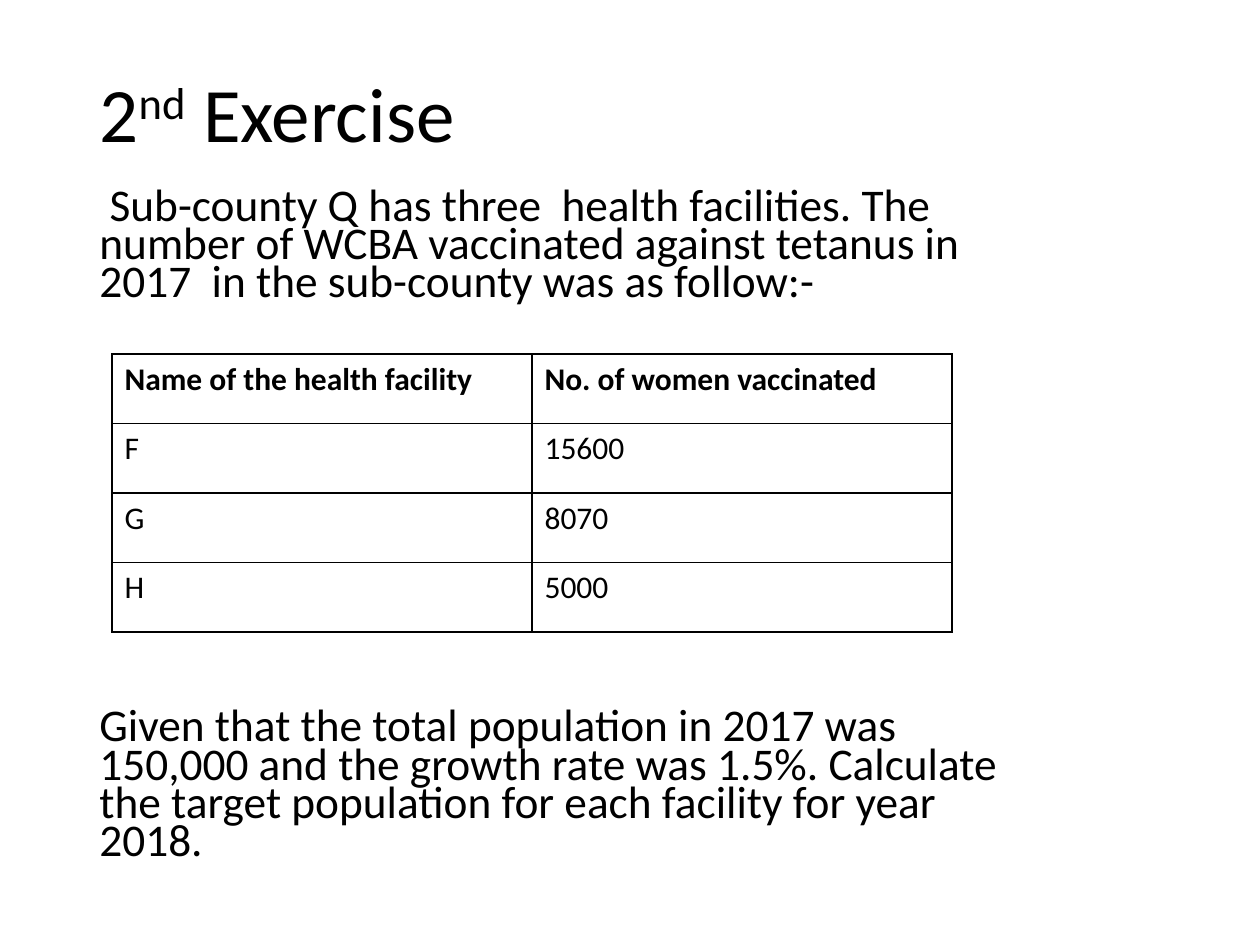
from lxml import etree
from pptx import Presentation
from pptx.dml.color import RGBColor
from pptx.enum.text import MSO_ANCHOR, PP_ALIGN
from pptx.oxml.ns import qn
from pptx.util import Emu, Pt

LEFT = PP_ALIGN.LEFT
MIDDLE = MSO_ANCHOR.MIDDLE
TITLE_ONLY = 5
BLACK = "000000"
FONT = "Calibri"


def px(length):
    return Emu(round(length * 914400 / 126))


def format_paragraph(paragraph, size, bold=False):
    paragraph.alignment = LEFT
    for run in paragraph.runs:
        run.font.name = FONT
        run.font.size = Pt(size)
        run.font.bold = bold
        run.font.color.rgb = RGBColor.from_string(BLACK)


presentation = Presentation()
presentation.slide_width = px(1260)
presentation.slide_height = px(945)
slide = presentation.slides.add_slide(presentation.slide_layouts[TITLE_ONLY])

# Title with a raised ordinal ending
title = slide.shapes.title
title.left, title.top, title.width, title.height = px(87), px(50), px(1086), px(135)
title.text_frame.vertical_anchor = MIDDLE
paragraph = title.text_frame.paragraphs[0]
paragraph.line_spacing = 0.9
for text in ("2", "nd", " Exercise"):
    paragraph.add_run().text = text
format_paragraph(paragraph, 44)
paragraph.runs[1]._r.get_or_add_rPr().set("baseline", "30000")

# Exercise text, with room for the table between its two paragraphs
body = slide.shapes.add_textbox(px(87), px(185), px(940), px(760))
body.text_frame.word_wrap = True
body.text_frame.text = (
    " Sub-county Q has three  health facilities. The number of WCBA vaccinated "
    "against tetanus in 2017  in the sub-county was as follow:-\n"
    "Given that the total population in 2017 was 150,000 and the growth rate was 1.5%. "
    "Calculate the target population for each facility for year 2018."
)
for paragraph in body.text_frame.paragraphs:
    paragraph.line_spacing = 0.7
    format_paragraph(paragraph, 25.9)
body.text_frame.paragraphs[1].space_before = Pt(232)

# Table of facilities
rows = [
    ("Name of the health facility", "No. of women vaccinated"),
    ("F", "15600"),
    ("G", "8070"),
    ("H", "5000"),
]
table = slide.shapes.add_table(
    len(rows), 2, px(112), px(354), px(840), px(278)
).table
table.first_row = False
table.horz_banding = False
for row_index, row in enumerate(rows):
    for column_index, text in enumerate(row):
        cell = table.cell(row_index, column_index)
        cell.text = text
        format_paragraph(cell.text_frame.paragraphs[0], 18, bold=row_index == 0)

        # Borders come before the fill in the cell properties
        properties = cell._tc.get_or_add_tcPr()
        for side in ("a:lnL", "a:lnR", "a:lnT", "a:lnB"):
            line = etree.SubElement(properties, qn(side), w=str(Pt(1)))
            fill = etree.SubElement(line, qn("a:solidFill"))
            etree.SubElement(fill, qn("a:srgbClr"), val=BLACK)
        cell.fill.background()

presentation.save("out.pptx")
